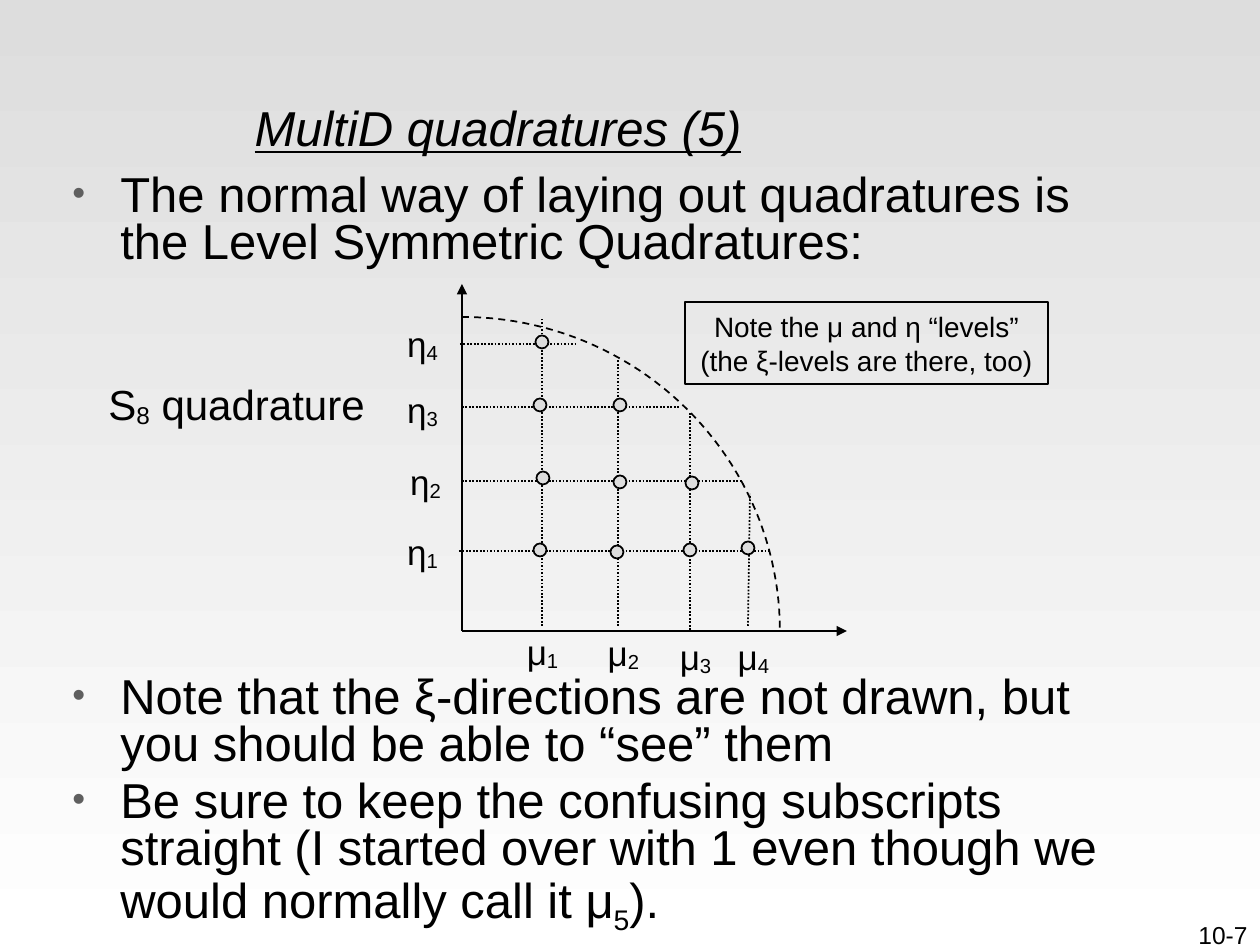
from math import cos, pi, sin

from lxml import etree
from pptx import Presentation
from pptx.dml.color import RGBColor
from pptx.enum.dml import MSO_LINE
from pptx.enum.shapes import MSO_CONNECTOR, MSO_SHAPE
from pptx.enum.text import MSO_ANCHOR, MSO_AUTO_SIZE, PP_ALIGN
from pptx.oxml.ns import qn
from pptx.util import Pt

LEFT, CENTER, RIGHT = PP_ALIGN.LEFT, PP_ALIGN.CENTER, PP_ALIGN.RIGHT
DASH, DOTS = MSO_LINE.DASH, MSO_LINE.ROUND_DOT
STRAIGHT = MSO_CONNECTOR.STRAIGHT

THEME = {
    "font": "Arial", "ink": "000000", "bullet": "5F5F5F",
    "top": "DDDDDD", "bottom": "FFFFFF", "dot": "DDDDDD",
    "body": 28, "name": 24, "level": 20, "note": 16, "number": 14,
    "line": 1,
}

# Content: a paragraph is a list of (text, baseline shift in percent)
TITLE = [("MultiD quadratures (5)", 0)]
TITLE_BOX = (242, 48, 987, 158)
BODY_BOX = (60, 169, 1071, 805)
GAP, DIAGRAM_GAP = 5.6, 233  # points above a bullet
BULLETS = [
    (GAP, [("The normal way of laying out quadratures is the Level Symmetric Quadratures:", 0)]),
    (DIAGRAM_GAP, [("Note that the ξ-directions are not drawn, but you should be able to “see” them", 0)]),
    (GAP, [("Be sure to keep the confusing subscripts straight (I started over with 1 "
            "even though we would normally call it μ", 0), ("5", -25), (").", 0)]),
]
NOTE = [[("Note the μ and η “levels”", 0)], [("(the ξ-levels are there, too)", 0)]]
NOTE_BOX = (685, 302, 363, 82)
QUADRATURE = [("S", 0), ("8", -10), (" quadrature", 0)]
QUADRATURE_BOX = (95, 372, 283, 63)
PAGE_NUMBER = [("10-7", 0)]
PAGE_NUMBER_BOX = (998, 914, 262, 63)

# Diagram: axes, unit arc, level lines and the directions on them
ORIGIN = (462, 631)
AXIS_ENDS = [(847, 631), (462, 284)]
ARC_RADII = (318, 314)
ARC_STEPS = 48
ETA_LINES = [(459, 551, 769), (462, 481, 742), (462, 407, 680), (460, 344, 577)]  # x1, y, x2
MU_LINES = [(542, 626, 542, 318), (618, 626, 618, 359), (690, 630, 690, 413), (748, 626, 750, 494)]
DIRECTIONS = [  # centres, one row for each μ level
    [(540, 550), (543, 478), (540, 405), (542, 342)],
    [(617, 552), (620, 482), (620, 405)],
    [(690, 550), (692, 483)],
    [(748, 548)],
]
DOT = 13
LABELS = {  # top left corners, level 1 to 4
    "μ": [(514, 624), (595, 625), (667, 629), (725, 629)],
    "η": [(394, 524), (397, 454), (394, 382), (394, 316)],
}
LABEL_SIZE = (57, 54)

SCALE = 914400 / 126


def emu(*lengths):
    return [round(length * SCALE) for length in lengths]


def rgb(key):
    return RGBColor.from_string(THEME[key])


def apply(target, formats):
    for attribute, value in formats.items():
        setattr(target, attribute, value)


def write(paragraph, pieces, size, align, **extra):
    paragraph.alignment = align
    for text, shift in pieces:
        run = paragraph.add_run()
        run.text = text
        apply(run.font, {"name": THEME["font"], "size": Pt(THEME[size]), **extra})
        run.font.color.rgb = rgb("ink")
        if shift:
            run._r.get_or_add_rPr().set("baseline", str(shift * 1000))


def fill_frame(frame, paragraphs, size, align=CENTER, wrap=False):
    frame.word_wrap = wrap
    for index, pieces in enumerate(paragraphs):
        paragraph = frame.add_paragraph() if index else frame.paragraphs[0]
        write(paragraph, pieces, size, align)


def add_text(shapes, box, *args, **kwargs):
    frame = shapes.add_textbox(*emu(*box)).text_frame
    fill_frame(frame, *args, **kwargs)
    return frame


def outline(shape, dash=None):
    shape.line.color.rgb = rgb("ink")
    shape.line.width = Pt(THEME["line"])
    if dash:
        shape.line.dash_style = dash


def add_line(shapes, start, end, dash=None, arrow=False):
    line = shapes.add_connector(STRAIGHT, *emu(*start, *end))
    outline(line, dash)
    if arrow:
        etree.SubElement(line.line._get_or_add_ln(), qn("a:tailEnd"), type="triangle")
    etree.SubElement(line._element.spPr, qn("a:effectLst"))


def add_bullet(paragraph):
    properties = paragraph._p.get_or_add_pPr()
    indent, = emu(48)
    properties.set("marL", str(indent))
    properties.set("indent", str(-indent))
    color = etree.SubElement(properties, qn("a:buClr"))
    etree.SubElement(color, qn("a:srgbClr"), val=THEME["bullet"])
    etree.SubElement(properties, qn("a:buSzPct"), val="75000")
    etree.SubElement(properties, qn("a:buFont"), typeface=THEME["font"])
    etree.SubElement(properties, qn("a:buChar"), char="•")


def add_diagram(shapes):
    for end in AXIS_ENDS:
        add_line(shapes, ORIGIN, end, arrow=True)

    # Quarter arc from the vertical axis to the horizontal one
    angles = [pi / 2 * (1 - step / ARC_STEPS) for step in range(ARC_STEPS + 1)]
    points = [emu(ORIGIN[0] + ARC_RADII[0] * cos(angle), ORIGIN[1] - ARC_RADII[1] * sin(angle))
              for angle in angles]
    builder = shapes.build_freeform(*points[0])
    builder.add_line_segments(points[1:], close=False)
    arc = builder.convert_to_shape()
    arc.shadow.inherit = False
    arc.fill.background()
    outline(arc, DASH)

    # Level lines
    for x1, y, x2 in ETA_LINES:
        add_line(shapes, (x1, y), (x2, y), DOTS)
    for x1, y1, x2, y2 in MU_LINES:
        add_line(shapes, (x1, y1), (x2, y2), DOTS)

    # Directions
    for column in DIRECTIONS:
        for x, y in column:
            dot = shapes.add_shape(MSO_SHAPE.OVAL, *emu(x - DOT / 2, y - DOT / 2, DOT, DOT))
            dot.shadow.inherit = False
            dot.fill.solid()
            dot.fill.fore_color.rgb = rgb("dot")
            outline(dot)

    # Level labels
    for letter, corners in LABELS.items():
        for level, corner in enumerate(corners, 1):
            add_text(shapes, corner + LABEL_SIZE, [[(letter, 0), (str(level), -10)]], "level")


def main():
    deck = Presentation()
    deck.slide_width, deck.slide_height = emu(1260, 945)
    slide = deck.slides.add_slide(deck.slide_layouts[5])
    shapes = slide.shapes

    # Background
    background = slide.background.fill
    background.gradient()
    background.gradient_angle = 270
    for stop, key in zip(background.gradient_stops, ("top", "bottom")):
        stop.color.rgb = rgb(key)

    # Title
    title = shapes.title
    apply(title, dict(zip(("left", "top", "width", "height"), emu(*TITLE_BOX))))
    apply(title.text_frame, {"auto_size": MSO_AUTO_SIZE.NONE, "word_wrap": True,
                             "vertical_anchor": MSO_ANCHOR.MIDDLE})
    write(title.text_frame.paragraphs[0], TITLE, "body", LEFT, italic=True, underline=True)

    # Bullets, with room for the diagram after the first
    body = add_text(shapes, BODY_BOX, [pieces for _, pieces in BULLETS], "body", LEFT, wrap=True)
    for paragraph, (space, _) in zip(body.paragraphs, BULLETS):
        apply(paragraph, {"line_spacing": 0.8, "space_before": Pt(space)})
        add_bullet(paragraph)

    add_diagram(shapes.add_group_shape().shapes)

    # Note, quadrature name and page number
    note = shapes.add_shape(MSO_SHAPE.RECTANGLE, *emu(*NOTE_BOX))
    note.shadow.inherit = False
    note.fill.background()
    outline(note)
    fill_frame(note.text_frame, NOTE, "note")
    add_text(shapes, QUADRATURE_BOX, [QUADRATURE], "name")
    add_text(shapes, PAGE_NUMBER_BOX, [PAGE_NUMBER], "number", RIGHT, wrap=True)

    deck.save("out.pptx")


if __name__ == "__main__":
    main()
